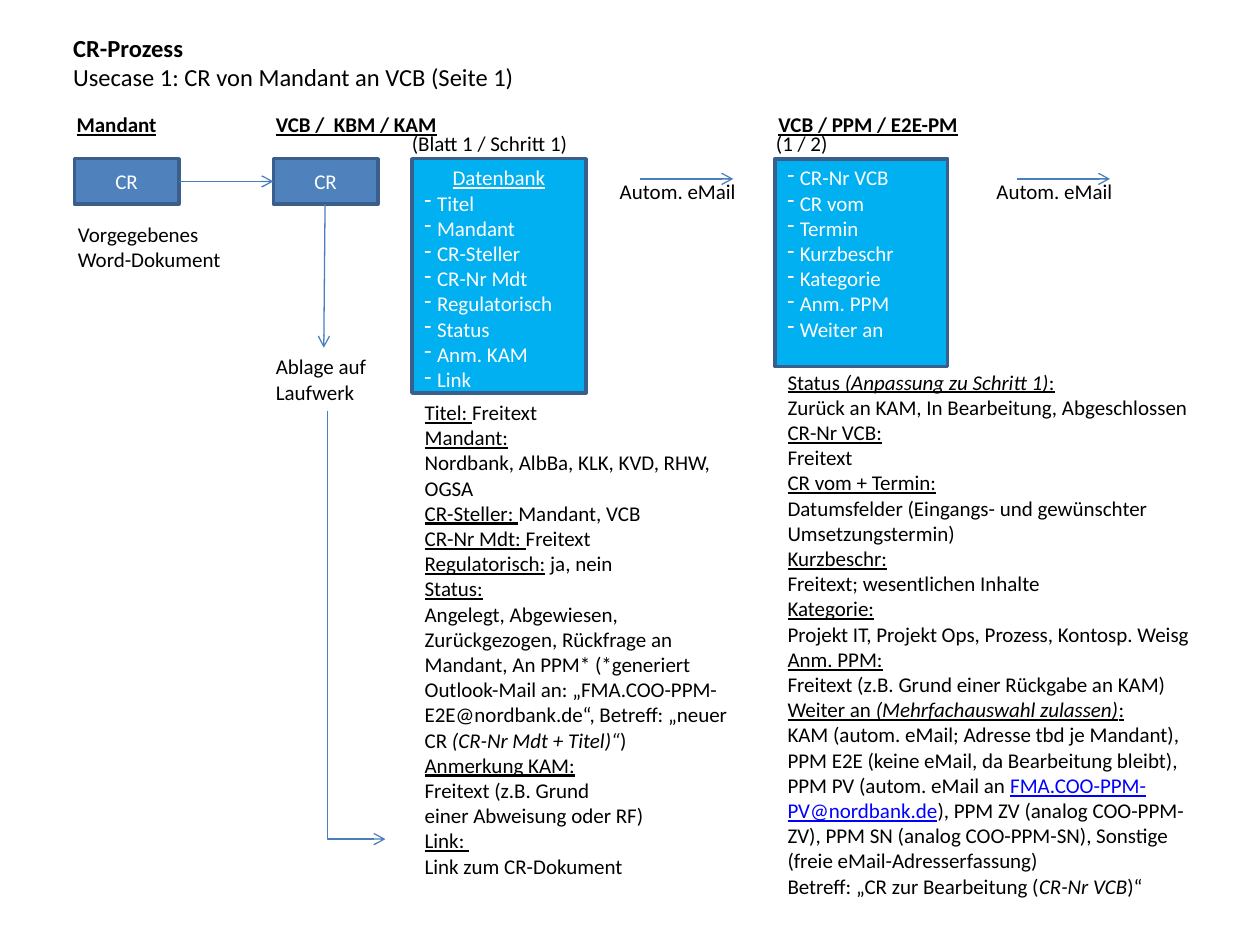
from lxml import etree
from pptx import Presentation
from pptx import util as u
from pptx.dml.color import RGBColor
from pptx.enum import shapes, text
from pptx.oxml.ns import qn

COLORS = {"ink": "000000", "white": "FFFFFF", "blue": "4F81BD", "cyan": "00B0F0",
          "edge": "3A5F8C", "arrow": "4B7EBC", "link": "0000FF"}
FONT = "Calibri"
CELL = u.Inches(0.1)  # the grid has 100 columns and 75 rows

# In texts, _ switches underline, ~ switches italics and ^ switches the link look.
DATABASE = ["Titel", "Mandant", "CR-Steller", "CR-Nr Mdt", "Regulatorisch",
            "Status", "Anm. KAM", "Link"]
PPM_FIELDS = ["CR-Nr VCB", "CR vom", "Termin", "Kurzbeschr", "Kategorie",
              "Anm. PPM", "Weiter an"]
DATABASE_NOTES = [
    "_Titel: _Freitext",
    "_Mandant:_",
    "Nordbank, AlbBa, KLK, KVD, RHW, OGSA",
    "_CR-Steller: _Mandant, VCB",
    "_CR-Nr Mdt: _Freitext",
    "_Regulatorisch:_ ja, nein",
    "_Status:_",
    "Angelegt, Abgewiesen,  Zurückgezogen, Rückfrage an Mandant, An PPM* "
    "(*generiert Outlook-Mail an: „FMA.COO-PPM-E2E@nordbank.de“, "
    "Betreff: „neuer CR ~(CR-Nr Mdt + Titel)“~)",
    "_Anmerkung KAM:_",
    "Freitext (z.B. Grund ",
    "einer Abweisung oder RF)",
    "_Link: _",
    "Link zum CR-Dokument ",
]
PPM_NOTES = [
    "_Status ~(Anpassung zu Schritt 1)~:_",
    "Zurück an KAM, In Bearbeitung, Abgeschlossen",
    "_CR-Nr VCB:_",
    "Freitext",
    "_CR vom + Termin:_",
    "Datumsfelder (Eingangs- und gewünschter Umsetzungstermin)",
    "_Kurzbeschr:_",
    "Freitext; wesentlichen Inhalte",
    "_Kategorie:_",
    "Projekt IT, Projekt Ops, Prozess, Kontosp. Weisg",
    "_Anm. PPM:_",
    "Freitext (z.B. Grund einer Rückgabe an KAM)",
    "_Weiter an ~(Mehrfachauswahl zulassen)~:_",
    "KAM (autom. eMail; Adresse tbd je Mandant),",
    "PPM E2E (keine eMail, da Bearbeitung bleibt),",
    "PPM PV (autom. eMail an ^FMA.COO-PPM-PV@nordbank.de^), PPM ZV (analog "
    "COO-PPM-ZV), PPM SN (analog COO-PPM-SN), Sonstige (freie eMail-Adresserfassung)",
    "Betreff: „CR zur Bearbeitung (~CR-Nr VCB~)“",
]


def grid(*cells):
    """Turn columns and rows into lengths."""
    return [round(c * CELL) for c in cells]


def rgb(name):
    """Look up a colour by name."""
    return RGBColor.from_string(COLORS[name])


def split_marks(line):
    """Yield pieces of a line with the set of marks active on each."""
    active, piece = set(), ""
    for ch in line:
        if ch in "_~^":
            if piece:
                yield piece, set(active)
            active ^= {ch}
            piece = ""
        else:
            piece += ch
    if piece:
        yield piece, set(active)


def write(tf, lines, size=12, color="ink", bold=False):
    """Fill a text frame, one paragraph for each marked-up line."""
    for i, line in enumerate(lines):
        p = tf.paragraphs[0] if i == 0 else tf.add_paragraph()
        p.alignment = text.PP_ALIGN.LEFT
        p.space_before = u.Pt(0)
        for piece, marks in split_marks(line):
            r = p.add_run()
            r.text = piece
            f = r.font
            f.name, f.size, f.bold = FONT, u.Pt(size), bold
            f.italic = "~" in marks
            f.underline = bool(marks & {"_", "^"})
            f.color.rgb = rgb("link" if "^" in marks else color)


def set_bullet(p, char=None):
    """Give a paragraph a hanging bullet, or none at all."""
    pPr = p._p.get_or_add_pPr()
    indent = CELL if char else 0
    pPr.set("marL", str(indent))
    pPr.set("indent", str(-indent))
    if char:
        etree.SubElement(pPr, qn("a:buChar")).set("char", char)
    else:
        etree.SubElement(pPr, qn("a:buNone"))


def fill_placeholder(sp, at, lines, size=12):
    """Move a placeholder and write plain paragraphs into it."""
    sp.left, sp.top, sp.width, sp.height = grid(*at)
    tf = sp.text_frame
    tf.word_wrap = True
    tf.auto_size = text.MSO_AUTO_SIZE.NONE
    tf.vertical_anchor = text.MSO_ANCHOR.TOP
    write(tf, lines, size)
    for p in tf.paragraphs:
        set_bullet(p)


def add_label(s, at, line, bold=False, wrap=True):
    """Add a text box with one paragraph."""
    tf = s.shapes.add_textbox(*grid(*at)).text_frame
    tf.word_wrap = wrap
    write(tf, [line], bold=bold)


def add_box(s, at, fill):
    """Add an outlined rectangle and return its text frame."""
    sp = s.shapes.add_shape(shapes.MSO_SHAPE.RECTANGLE, *grid(*at))
    sp.shadow.inherit = False
    sp.fill.solid()
    sp.fill.fore_color.rgb = rgb(fill)
    sp.line.color.rgb = rgb("edge")
    sp.line.width = u.Pt(2)
    return sp.text_frame


def add_cr_box(s, at):
    """Add a change request box with a centred caption."""
    tf = add_box(s, at, "blue")
    tf.vertical_anchor = text.MSO_ANCHOR.MIDDLE
    write(tf, ["CR"], color="white")
    tf.paragraphs[0].alignment = text.PP_ALIGN.CENTER


def add_field_box(s, at, fields, heading=None):
    """Add a box listing field names under an optional heading."""
    tf = add_box(s, at, "cyan")
    tf.vertical_anchor = text.MSO_ANCHOR.TOP
    head = [f"_{heading}_"] if heading else []
    write(tf, head + fields, color="white")
    for p in tf.paragraphs[len(head):]:
        set_bullet(p, "-")
    if head:
        tf.paragraphs[0].alignment = text.PP_ALIGN.CENTER


def add_arrow(s, ends, kind=shapes.MSO_CONNECTOR.STRAIGHT):
    """Add a connector with an open arrowhead at its end."""
    cx = s.shapes.add_connector(kind, *grid(*ends))
    cx.line.color.rgb = rgb("arrow")
    cx.line.width = u.Pt(0.75)
    ln = cx.line._get_or_add_ln()
    etree.SubElement(ln, qn("a:tailEnd")).set("type", "arrow")
    etree.SubElement(cx._element.spPr, qn("a:effectLst"))
    return cx


def add_corner_arrow(s, x1, y1, x2, y2):
    """Add an elbow connector that runs down, then right."""
    mx, my = (x1 + x2) / 2, (y1 + y2) / 2
    dx, dy = (x2 - x1) / 2, (y2 - y1) / 2
    cx = add_arrow(s, (mx + dy, my - dx, mx - dy, my + dx), shapes.MSO_CONNECTOR.ELBOW)
    spPr = cx._element.spPr
    spPr.find(qn("a:xfrm")).set("rot", "16200000")
    geom = spPr.find(qn("a:prstGeom"))
    guides = geom.find(qn("a:avLst"))
    if guides is None:
        guides = etree.SubElement(geom, qn("a:avLst"))
    gd = etree.SubElement(guides, qn("a:gd"))
    gd.set("name", "adj1")
    gd.set("fmla", "val 100000")


def main():
    """Build the process slide."""
    prs = Presentation()
    prs.slide_width, prs.slide_height = grid(100, 75)
    s = prs.slides.add_slide(prs.slide_layouts[3])
    title, database_notes, ppm_notes = s.placeholders

    fill_placeholder(title, (4.8, 2.1, 45, 5.7),
                     ["CR-Prozess", "Usecase 1: CR von Mandant an VCB (Seite 1)"], 14)
    for r in title.text_frame.paragraphs[0].runs:
        r.font.bold = True

    for x, w, heading in [(5.1, 8.4, "Mandant"), (20.9, 14.9, "VCB /  KBM / KAM"),
                          (60.8, 16.4, "VCB / PPM / E2E-PM")]:
        add_label(s, (x, 8.4, w, 3), f"_{heading}_", bold=True, wrap=False)

    for x in (5.9, 21.7):
        add_cr_box(s, (x, 12.6, 8.3, 3.6))
    add_field_box(s, (32.7, 12.6, 13.8, 18.6), DATABASE, "Datenbank")
    add_field_box(s, (61.5, 12.6, 13.7, 16.5), PPM_FIELDS)
    fill_placeholder(database_notes, (32.7, 31.2, 27.6, 39.4), DATABASE_NOTES)
    fill_placeholder(ppm_notes, (61.5, 28.8, 34.2, 43.4), PPM_NOTES)

    for at, label in [((5.2, 17.1, 14.2, 5), "Vorgegebenes Word-Dokument"),
                      ((20.9, 27.6, 10.2, 5), "Ablage auf Laufwerk"),
                      ((31.7, 9.9, 16.4, 3), "(Blatt 1 / Schritt 1)"),
                      ((60.6, 9.9, 10.2, 3), "(1 / 2)")]:
        add_label(s, at, label)

    add_arrow(s, (14.2, 14.4, 21.7, 14.4))
    add_arrow(s, (25.8, 16.2, 25.7, 27.6))
    add_corner_arrow(s, 26, 32.6, 30.6, 66.6)
    for x in (48.2, 78.1):
        add_label(s, (x, 13.7, 12.1, 3), "Autom. eMail")
        add_arrow(s, (x + 2.6, 14.2, x + 10, 14.2))

    prs.save("out.pptx")


main()
